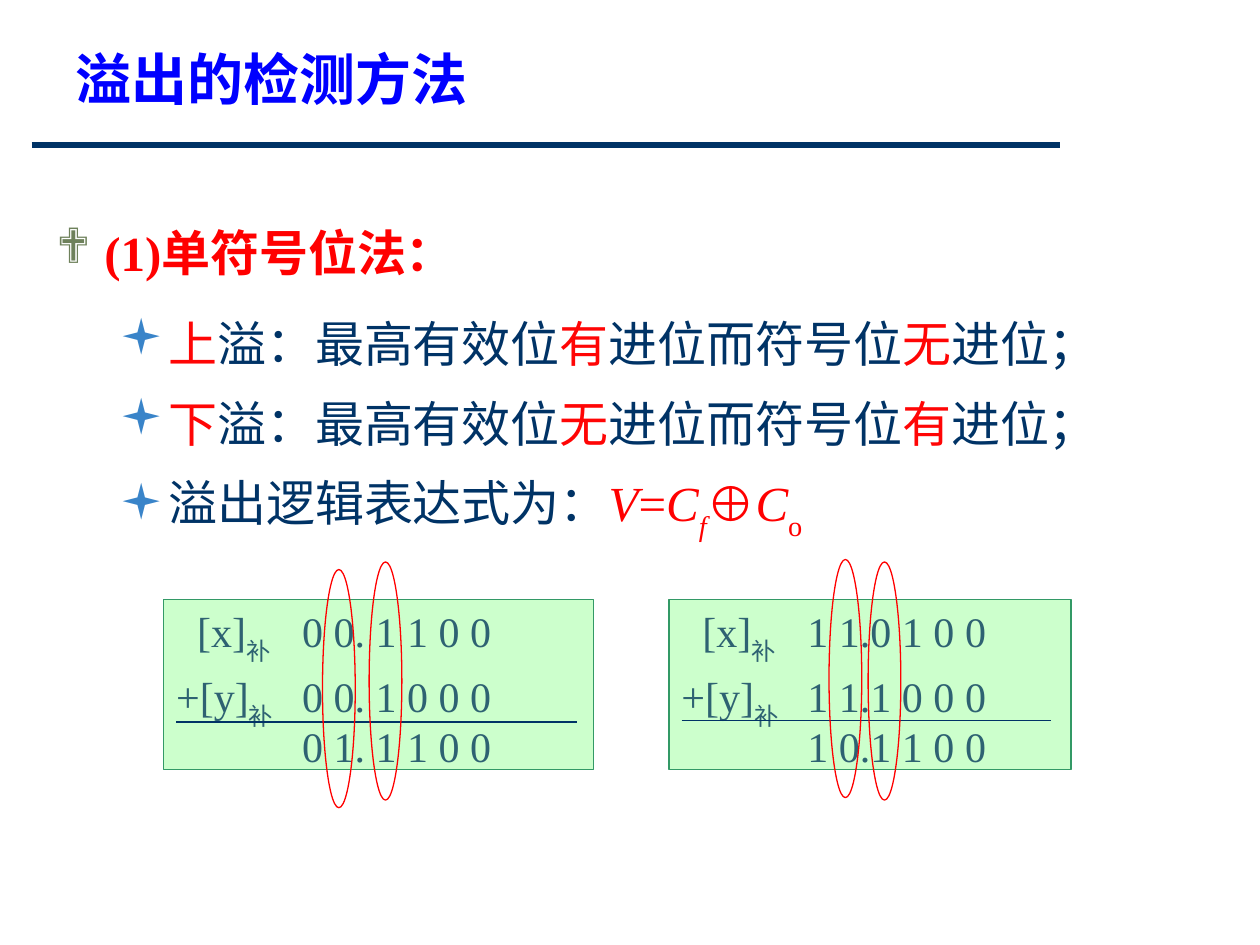
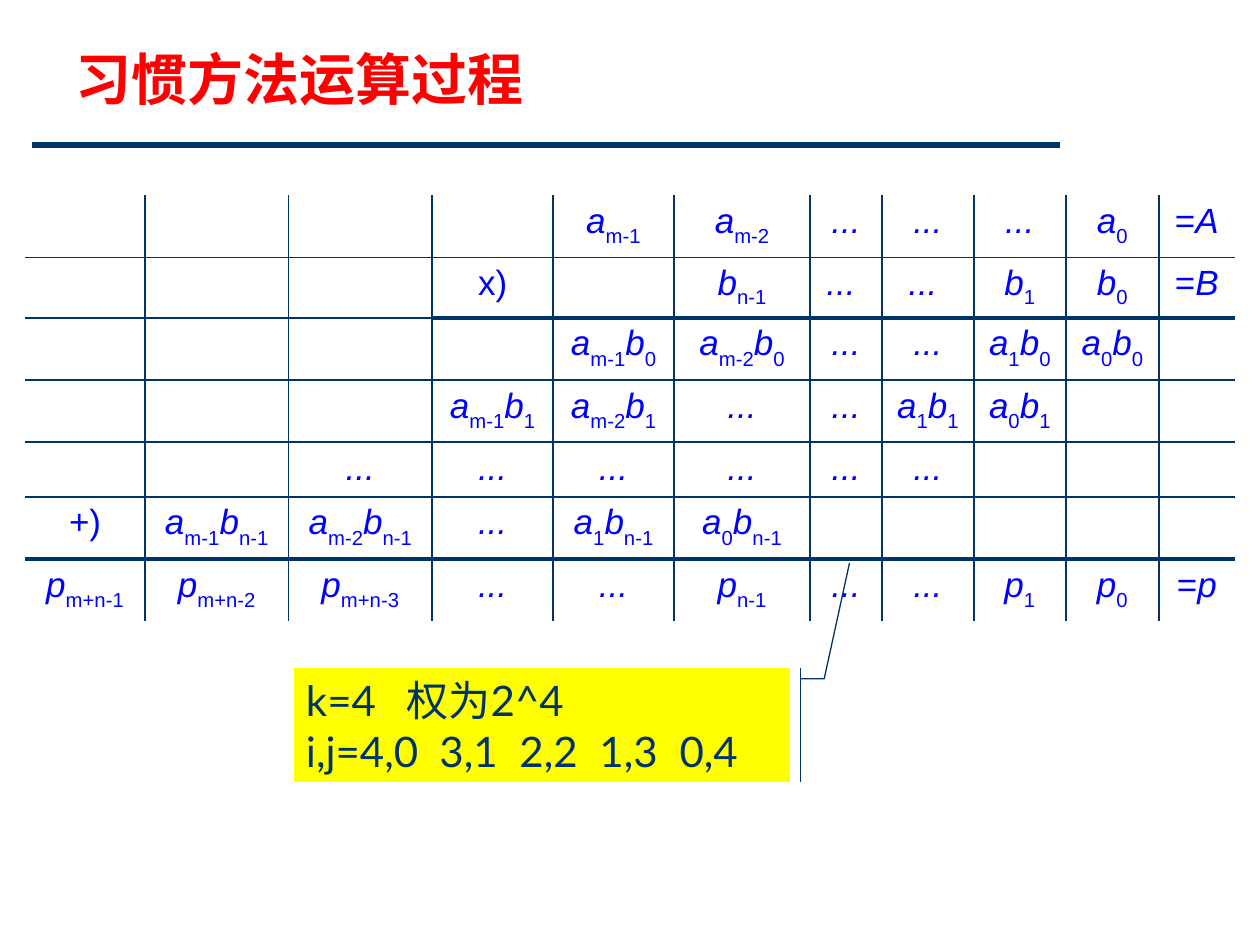
from dataclasses import dataclass
from typing import NamedTuple

from lxml.etree import SubElement
from pptx import Presentation
from pptx.dml.color import RGBColor
from pptx.enum.shapes import MSO_CONNECTOR as Connector, MSO_SHAPE as Preset
from pptx.enum.text import MSO_ANCHOR as Anchor, PP_ALIGN as Align
from pptx.oxml.ns import qn
from pptx.util import Emu, Inches, Pt

SLIDE_W, SLIDE_H = Inches(10), Inches(7.5)
COL, ROW = SLIDE_W / 100, SLIDE_H / 75

NAVY = RGBColor(0x00, 0x33, 0x66)
BLUE = RGBColor(0x00, 0x00, 0xFF)
RED = RGBColor(0xFF, 0x00, 0x00)
SCARLET = RGBColor(0xFF, 0x05, 0x05)
OLIVE = RGBColor(0x6E, 0x81, 0x5B)
SKY = RGBColor(0x39, 0x84, 0xC9)
TEAL = RGBColor(0x2E, 0x62, 0x72)
MINT = RGBColor(0xCC, 0xFF, 0xCC)
GREEN = RGBColor(0x33, 0x99, 0x66)
YELLOW = RGBColor(0xFF, 0xFF, 0x00)

SERIF, SANS, CALLOUT_FONT, CJK = "Times New Roman", "Arial", "Lato", "Noto Sans CJK SC"
BULLET_FONT = "Wingdings"


class Box(NamedTuple):
    left: float
    top: float
    width: float
    height: float

    def emu(self) -> tuple:
        return cols(self.left), rows(self.top), cols(self.width), rows(self.height)


class Span(NamedTuple):
    text: str
    color: RGBColor
    italic: bool = False
    drop: int = 0


@dataclass
class Style:
    font: str
    size: float
    bold: bool = False


@dataclass
class Point:
    spans: list
    space_before: float
    bullet: str
    bullet_color: RGBColor
    margin: float
    hang: float
    bold: bool = False


@dataclass
class Addition:
    box: Box
    x: str
    y: str
    total: str
    rule_top: float
    rule_width: float


def cols(count: float) -> Emu:
    return Emu(round(count * COL))


def rows(count: float) -> Emu:
    return Emu(round(count * ROW))


def write(paragraph, spans: list, style: Style) -> None:
    for span in spans:
        run = paragraph.add_run()
        run.text = span.text
        font = run.font
        font.name, font.size, font.bold = style.font, Pt(style.size), style.bold
        font.italic = span.italic
        font.color.rgb = span.color
        props = run._r.get_or_add_rPr()
        SubElement(props, qn("a:ea")).set("typeface", CJK)
        if span.drop:
            props.set("baseline", str(-1000 * span.drop))


def add_tabs(paragraph, stops: list) -> None:
    tabs = SubElement(paragraph._p.get_or_add_pPr(), qn("a:tabLst"))
    for stop in stops:
        tab = SubElement(tabs, qn("a:tab"))
        tab.set("pos", str(cols(stop)))
        tab.set("algn", "l")


def add_line(slide, left: float, top: float, width: float, weight: float) -> None:
    line = slide.shapes.add_connector(
        Connector.STRAIGHT, cols(left), rows(top), cols(left + width), rows(top))
    line.line.color.rgb = NAVY
    line.line.width = Pt(weight)
    SubElement(line._element.spPr, qn("a:effectLst"))


def add_preset(slide, preset, box: Box, outline: RGBColor, fill=None):
    shape = slide.shapes.add_shape(preset, *box.emu())
    shape.shadow.inherit = False
    if fill is None:
        shape.fill.background()
    else:
        shape.fill.solid()
        shape.fill.fore_color.rgb = fill
    shape.line.color.rgb = outline
    shape.line.width = Pt(0.75)
    return shape


def add_text_frame(slide, box: Box):
    frame = slide.shapes.add_textbox(*box.emu()).text_frame
    frame.word_wrap = True
    return frame


def start_slide(deck, title: str, color: RGBColor, font: str):
    slide = deck.slides.add_slide(deck.slide_layouts[6])
    add_line(slide, 2.5, 11.5, 81.6, 3)
    heading = add_text_frame(slide, Box(5, 3, 90, 12.5)).paragraphs[0]
    write(heading, [Span(title, color)], Style(font, 32, True))
    return slide


def next_paragraph(frame, index: int):
    return frame.add_paragraph() if index else frame.paragraphs[0]


def add_points(slide, box: Box, points: list) -> None:
    frame = add_text_frame(slide, box)
    for index, point in enumerate(points):
        paragraph = next_paragraph(frame, index)
        paragraph.space_before = Pt(point.space_before)
        props = paragraph._p.get_or_add_pPr()
        props.set("marL", str(cols(point.margin)))
        props.set("indent", str(cols(-point.hang)))
        tint = SubElement(SubElement(props, qn("a:buClr")), qn("a:srgbClr"))
        tint.set("val", str(point.bullet_color))
        SubElement(props, qn("a:buFont")).set("typeface", BULLET_FONT)
        SubElement(props, qn("a:buChar")).set("char", point.bullet)
        write(paragraph, point.spans, Style(SERIF, 28, point.bold))


def add_addition(slide, addition: Addition) -> None:
    frame = add_preset(slide, Preset.RECTANGLE, addition.box, GREEN, MINT).text_frame
    frame.word_wrap = True
    frame.vertical_anchor = Anchor.TOP
    frame.margin_top = rows(0.5)
    lines = [("[x]", "补", addition.x), ("+[y]", "补", addition.y), ("", "", addition.total)]
    for index, (operand, code, digits) in enumerate(lines):
        paragraph = next_paragraph(frame, index)
        paragraph.alignment = Align.LEFT
        if index:
            paragraph.line_spacing = 0.55
            paragraph.space_before = Pt(12)
        else:
            paragraph._p.get_or_add_pPr().set("indent", str(cols(1.67)))
        add_tabs(paragraph, [10])
        spans = [Span(operand, TEAL), Span(code, TEAL, drop=30), Span("\t" + digits, TEAL)]
        write(paragraph, [span for span in spans if span.text], Style(SERIF, 24))
    add_line(slide, addition.box.left + 1, addition.rule_top, addition.rule_width, 0.75)


def term_spans(cell: str, drop: int) -> list:
    if cell.startswith("..."):
        return [Span(cell, BLUE, italic=True)]
    spans = []
    for term in cell.split():
        if term.startswith("="):
            spans += [Span("=", BLUE), Span(term[1:], BLUE, italic=True)]
            continue
        name, _, index = term.partition("_")
        spans.append(Span(name, BLUE, italic=not name.endswith(")")))
        if index:
            spans.append(Span(index, BLUE, drop=drop))
    return spans


def set_border(cell, side: str, weight: float) -> None:
    edge = SubElement(cell._tc.get_or_add_tcPr(), qn(f"a:ln{side}"))
    edge.set("w", str(Pt(weight)))
    if weight:
        fill = SubElement(edge, qn("a:solidFill"))
        SubElement(fill, qn("a:srgbClr")).set("val", str(NAVY))
    else:
        SubElement(edge, qn("a:noFill"))


def rule_weight(row: int, col: int, row_count: int) -> float:
    if row in (0, row_count):
        return 0
    return 3 if row == 6 or (row == 2 and col >= 3) else 1


def add_product_table(slide, box: Box, widths: list, lines: list) -> None:
    cells = [line.split("|") for line in lines]
    table = slide.shapes.add_table(len(cells), len(widths), *box.emu()).table
    table.first_row = table.horz_banding = False
    for column, width in zip(table.columns, widths):
        column.width = cols(width)
    for r, line in enumerate(cells):
        table.rows[r].height = rows(4.3)
        for c, content in enumerate(line):
            cell = table.cell(r, c)
            set_border(cell, "L", 1 if c else 0)
            set_border(cell, "R", 1 if c < len(line) - 1 else 0)
            set_border(cell, "T", rule_weight(r, c, len(cells)))
            set_border(cell, "B", rule_weight(r + 1, c, len(cells)))
            cell.fill.background()
            paragraph = cell.text_frame.paragraphs[0]
            paragraph.alignment = Align.CENTER
            write(paragraph, term_spans(content, 25 if r == 1 else 30), Style(SANS, 20))


def add_weight_callout(slide, box: Box) -> None:
    callout = add_preset(slide, Preset.LINE_CALLOUT_2_ACCENT_BAR, box, NAVY, YELLOW)
    for index, value in enumerate((0.096, 1.021, 0.096, 1.069, -0.915, 1.12)):
        callout.adjustments[index] = value
    frame = callout.text_frame
    frame.word_wrap = True
    frame.vertical_anchor = Anchor.MIDDLE
    lines = [("k=4\t权为2^4", [8]),
             ("i,j=4,0\t3,1\t2,2\t1,3\t0,4", [10.6 + 6.35 * n for n in range(4)])]
    for index, (text, stops) in enumerate(lines):
        paragraph = next_paragraph(frame, index)
        paragraph.alignment = Align.LEFT
        add_tabs(paragraph, stops)
        write(paragraph, [Span(text, NAVY)], Style(CALLOUT_FONT, 24))


def overflow_point(kind: str, carry: str, sign_carry: str, space_before: float) -> Point:
    spans = [Span(kind, SCARLET), Span("溢：最高有效位", NAVY), Span(carry, SCARLET),
             Span("进位而符号位", NAVY), Span(sign_carry, SCARLET), Span("进位；", NAVY)]
    return Point(spans, space_before, "▪", SKY, 8.1, 3.1)


def build_overflow_slide(deck) -> None:
    slide = start_slide(deck, "溢出的检测方法", BLUE, SERIF)
    formula = [Span("溢出逻辑表达式为：", NAVY), Span("V", RED, True), Span("=", RED),
               Span("C", RED, True), Span("f", RED, True, 30), Span("⊕", RED),
               Span("C", RED, True), Span("o", RED, drop=30)]
    add_points(slide, Box(3.5, 17.2, 93.4, 27.4), [
        Point([Span("(1)单符号位法：", RED)], 0, "❖", OLIVE, 3.8, 3.8, True),
        overflow_point("上", "有", "无", 18),
        overflow_point("下", "无", "有", 12),
        Point(formula, 12, "▪", SKY, 8.1, 3.1)])
    for addition in (
            Addition(Box(13, 47.6, 34.1, 13.5), "0 0. 1 1 0 0", "0 0. 1 0 0 0",
                     "0 1. 1 1 0 0", 57.3, 31.8),
            Addition(Box(53.1, 47.6, 31.9, 13.5), "1 1.0 1 0 0", "1 1.1 0 0 0",
                     "1 0.1 1 0 0", 57.2, 29.3)):
        add_addition(slide, addition)
    for left, top in ((29.3, 44.6), (25.6, 45.2), (65.8, 44.4), (68.9, 44.6)):
        add_preset(slide, Preset.OVAL, Box(left, top, 2.6, 18.9), RED)


def build_product_slide(deck) -> None:
    slide = start_slide(deck, "习惯方法运算过程", RED, CJK)
    add_weight_callout(slide, Box(23.3, 53, 39.4, 9.1))
    add_product_table(
        slide, Box(2, 15.5, 96.1, 30.3),
        [9.5, 11.4, 11.4, 9.6, 9.6, 10.8, 5.7, 7.3, 7.3, 7.4, 6],
        ["||||a_m-1|a_m-2|...|...|...|a_0|=A",
         "|||x)||b_n-1|... |... |b_1|b_0|=B",
         "||||a_m-1 b_0|a_m-2 b_0|...|...|a_1 b_0|a_0 b_0|",
         "|||a_m-1 b_1|a_m-2 b_1|...|...|a_1 b_1|a_0 b_1||",
         "||...|...|...|...|...|...|||",
         "+)|a_m-1 b_n-1|a_m-2 b_n-1|...|a_1 b_n-1|a_0 b_n-1|||||",
         "p_m+n-1|p_m+n-2|p_m+n-3|...|...|p_n-1|...|...|p_1|p_0|=p"])


def main() -> None:
    deck = Presentation()
    deck.slide_width, deck.slide_height = SLIDE_W, SLIDE_H
    build_overflow_slide(deck)
    build_product_slide(deck)
    deck.save("out.pptx")


if __name__ == "__main__":
    main()
